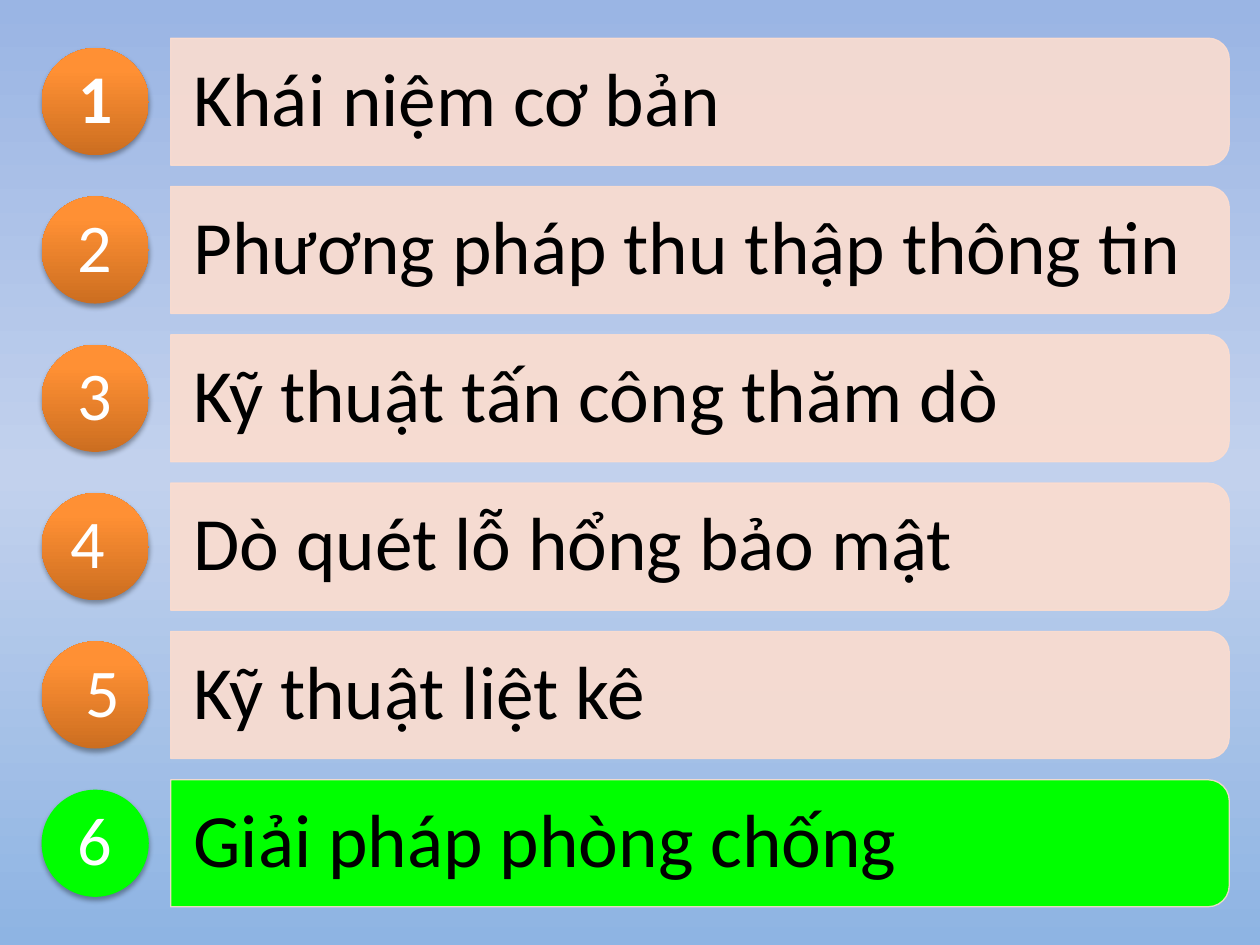
import pptx
import pptx.util
import pptx.dml.color
import pptx.enum.shapes
import pptx.enum.text
import pptx.oxml.ns
from lxml import etree

Cm, Pt = pptx.util.Cm, pptx.util.Pt
qn = pptx.oxml.ns.qn
KIND = pptx.enum.shapes.MSO_SHAPE
ALIGN = pptx.enum.text.PP_ALIGN

FONT = "Calibri"
PEACH, GREEN = "FCDDCF", "00FF00"
SKY = [(0, "9AB5E4"), (50, "C2D1ED"), (100, "8EB4E3")]
ORANGE = [(0, "CC6E20"), (80, "FF9034"), (100, "FF9136")]
TOPICS = [
    ("1", "Khái niệm cơ bản"),
    ("2", "Phương pháp thu thập thông tin"),
    ("3", "Kỹ thuật tấn công thăm dò"),
    ("4 ", "Dò quét lỗ hổng bảo mật"),
    (" 5", "Kỹ thuật liệt kê"),
    ("6", "Giải pháp phòng chống"),
]
ACTIVE = 5


def paint(color, code):
    color.rgb = pptx.dml.color.RGBColor.from_string(code)


def add(root, tag, **attrs):
    return etree.SubElement(root, qn(tag), {k: str(v) for k, v in attrs.items()})


def fade(fill, root, stops, angle):
    """Fill with a linear gradient; the angle runs clockwise."""
    fill.gradient()
    grad = root.find(".//" + qn("a:gradFill"))
    grad.clear()
    items = add(grad, "a:gsLst")
    for at, code in stops:
        stop = add(items, "a:gs", pos=at * 1000)
        add(stop, "a:srgbClr", val=code)
    add(grad, "a:lin", ang=angle * 60000, scaled=0)


def thin(fill, root, code):
    """Solid fill at 90 % opacity."""
    fill.solid()
    paint(fill.fore_color, code)
    add(root.find(qn("a:solidFill")).find(qn("a:srgbClr")), "a:alpha", val=90000)


def write(slide, box, text, size, code, pad=(0, 0), align=ALIGN.LEFT, bold=False):
    frame = slide.shapes.add_textbox(*map(Cm, box)).text_frame
    frame.word_wrap = True
    frame.vertical_anchor = pptx.enum.text.MSO_ANCHOR.MIDDLE
    frame.margin_left = frame.margin_right = Cm(pad[0])
    frame.margin_top = frame.margin_bottom = Cm(pad[1])
    para = frame.paragraphs[0]
    para.alignment = align
    para.line_spacing = 0.9
    run = para.add_run()
    run.text = text
    run.font.name = FONT
    run.font.size = Pt(size)
    run.font.bold = bold
    paint(run.font.color, code)


def draw_bar(slide, box, text, active):
    x, y, w, h = box
    # Tall shape turned a quarter, so that its round corners face right
    spot = (x + (w - h) / 2, y + (h - w) / 2, h, w)
    bar = slide.shapes.add_shape(KIND.ROUND_2_SAME_RECTANGLE, *map(Cm, spot))
    bar.rotation = 90
    bar.shadow.inherit = False
    if active:
        bar.fill.solid()
        paint(bar.fill.fore_color, GREEN)
    else:
        thin(bar.fill, bar.element.spPr, PEACH)
    bar.line.width = Pt(0.75)
    thin(bar.line.fill, bar.element.spPr.find(qn("a:ln")), PEACH)
    # Topic
    write(slide, (x, y + 0.13, w - 0.13, h - 0.26), text, 43, "000000", (0.46, 0.3))


def draw_disc(slide, box, text, active, bold):
    x, y, size = box
    disc = slide.shapes.add_shape(KIND.OVAL, Cm(x), Cm(y), Cm(size), Cm(size))
    disc.line.fill.background()
    if active:
        disc.fill.solid()
        paint(disc.fill.fore_color, GREEN)
    else:
        fade(disc.fill, disc.element.spPr, ORANGE, 270)
    # Soft shadow below
    disc.shadow.inherit = False
    glow = add(disc.element.spPr.find(qn("a:effectLst")), "a:outerShdw",
               blurRad=Pt(3.1), dist=Pt(1.8), dir=5400000, rotWithShape=0)
    add(add(glow, "a:srgbClr", val="000000"), "a:alpha", val=35000)
    # Number
    gap = 0.32
    side = size - 2 * gap
    write(slide, (x + gap, y + gap, side, side), text, 39, "FFFFFF",
          align=ALIGN.CENTER, bold=bold)


def draw_row(slide, box, num, text, active, bold):
    x, y, w, h = box
    disc, lead = 2.16, 2.6
    draw_bar(slide, (x + lead, y, w - lead, h), text, active)
    draw_disc(slide, (x, y + (h - disc) / 2, disc), num, active, bold)


def draw_list(slide, box):
    x, y, w, h = box
    tall = 2.56
    step = (h - tall) / (len(TOPICS) - 1)
    for i, (num, text) in enumerate(TOPICS):
        draw_row(slide, (x, y + i * step, w, tall), num, text, i == ACTIVE, i == 0)


def main():
    deck = pptx.Presentation()
    deck.slide_width, deck.slide_height = Cm(25.4), Cm(19.05)
    slide = deck.slides.add_slide(deck.slide_layouts[6])
    fade(slide.background.fill, slide.element, SKY, 90)
    draw_list(slide, (0.84, 0.77, 23.94, 17.51))
    deck.save("out.pptx")


if __name__ == "__main__":
    main()
